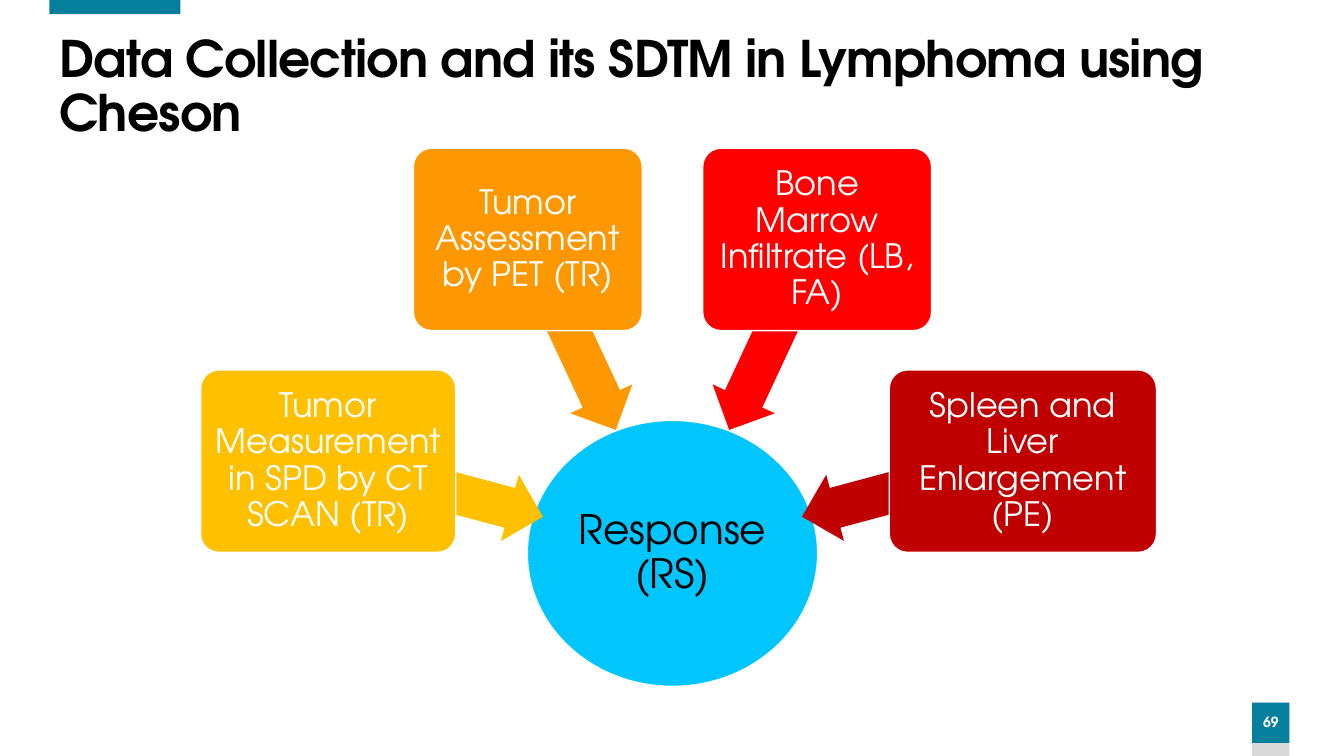
import math

import pptx
import pptx.dml.color
import pptx.enum.shapes
import pptx.enum.text
import pptx.util

Inches = pptx.util.Inches
SHAPE = pptx.enum.shapes.MSO_SHAPE
ALIGN = pptx.enum.text.PP_ALIGN

# Content
FONT = "TeX Gyre Adventor"
COLORS = {
    "teal": "067F9C", "grey": "D9D9D9", "white": "FFFFFF", "black": "000000",
    "blue": "01C6FD", "yellow": "FFC000", "orange": "FD9803",
    "red": "FF0000", "dark red": "C00000",
}
TITLE = "Data Collection and its SDTM in Lymphoma using Cheson"
RESPONSE = "Response (RS)"
PAGE_NUMBER = "69"
# Text, colour, left, top, width, angle around the response circle
SOURCES = [
    ("Tumor Measurement in SPD by CT SCAN (TR)", "yellow", 1.99, 3.67, 2.53, 195),
    ("Tumor Assessment by PET (TR)", "orange", 4.1, 1.47, 2.27, 245),
    ("Bone Marrow Infiltrate (LB, FA)", "red", 6.97, 1.47, 2.27, 295),
    ("Spleen and Liver Enlargement (PE)", "dark red", 8.82, 3.67, 2.65, 345),
]
SOURCE_HEIGHT = 1.81
ARROW_WIDTH, ARROW_HEIGHT = 2.08, 0.68
PIVOT_X, PIVOT_Y, RADIUS = 6.67, 5.47, 2.37


def rgb(name):
    return pptx.dml.color.RGBColor.from_string(COLORS[name])


def add_box(page, kind, left, top, width, height, fill, line=None):
    box = page.shapes.add_shape(
        kind, Inches(left), Inches(top), Inches(width), Inches(height))
    box.shadow.inherit = False
    box.fill.solid()
    box.fill.fore_color.rgb = rgb(fill)
    if line:
        box.line.color.rgb = rgb(line)
        box.line.width = pptx.util.Pt(1)
    else:
        box.line.fill.background()
    return box


def write(box, text, size, color, align=ALIGN.CENTER, bold=False, margin=0.05):
    frame = box.text_frame
    frame.text = text
    frame.word_wrap = True
    frame.auto_size = pptx.enum.text.MSO_AUTO_SIZE.NONE
    frame.vertical_anchor = pptx.enum.text.MSO_ANCHOR.MIDDLE
    frame.margin_left = frame.margin_right = Inches(margin)
    frame.margin_top = frame.margin_bottom = Inches(0.05)
    para = frame.paragraphs[0]
    para.alignment = align
    para.line_spacing = 0.9
    span = para.runs[0]
    span.font.name = FONT
    span.font.size = pptx.util.Pt(size)
    span.font.bold = bold
    span.font.color.rgb = rgb(color)
    return span


def main():
    deck = pptx.Presentation()
    deck.slide_width, deck.slide_height = Inches(13.33), Inches(7.5)
    page = deck.slides.add_slide(deck.slide_layouts[5])

    # Page frame and number
    add_box(page, SHAPE.RECTANGLE, 12.42, 6.97, 0.37, 0.53, "grey")
    number = add_box(page, SHAPE.RECTANGLE, 12.42, 6.97, 0.37, 0.4, "teal")
    write(number, PAGE_NUMBER, 10, "white", bold=True, margin=0)
    add_box(page, SHAPE.RECTANGLE, 0.49, 0, 1.3, 0.14, "teal")

    # Title
    title = page.shapes.title
    title.left, title.top = Inches(0.49), Inches(0.55)
    title.width, title.height = Inches(12.22), Inches(0.65)
    span = write(title, TITLE, 36, "black", ALIGN.LEFT, bold=True, margin=0.1)
    span.font._element.set("spc", "-60")

    # Response circle
    circle = add_box(page, SHAPE.OVAL, 5.23, 4.17, 2.88, 2.64, "blue", "white")
    write(circle, RESPONSE, 29, "black", margin=0.02)

    # Sources, each with an arrow towards the circle
    for text, color, left, top, width, angle in SOURCES:
        center_x = PIVOT_X + RADIUS * math.cos(math.radians(angle))
        center_y = PIVOT_Y + RADIUS * math.sin(math.radians(angle))
        arrow = add_box(
            page, SHAPE.LEFT_ARROW, center_x - ARROW_WIDTH / 2,
            center_y - ARROW_HEIGHT / 2, ARROW_WIDTH, ARROW_HEIGHT, color)
        arrow.adjustments[0] = 0.6
        arrow.adjustments[1] = 0.5
        arrow.rotation = angle

        box = add_box(page, SHAPE.ROUNDED_RECTANGLE, left, top, width,
                      SOURCE_HEIGHT, color, "white")
        box.adjustments[0] = 0.1
        write(box, text, 24, "white")

    deck.save("out.pptx")


if __name__ == "__main__":
    main()
